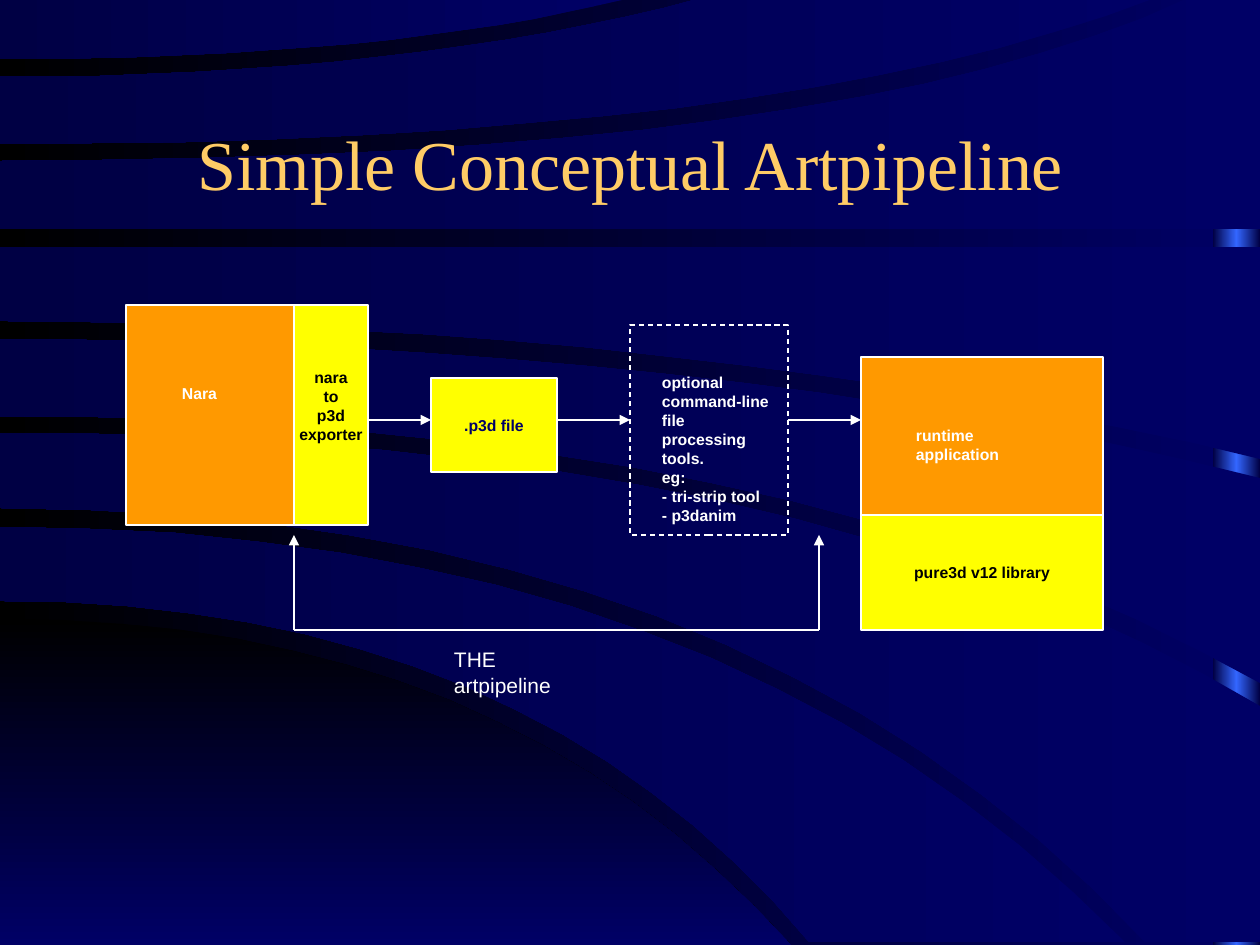
"""Build the Simple Conceptual Artpipeline slide."""
from copy import deepcopy

from lxml.etree import SubElement
from pptx import Presentation
from pptx.dml.color import RGBColor
from pptx.enum.dml import MSO_LINE
from pptx.enum.shapes import MSO_CONNECTOR, MSO_SHAPE
from pptx.enum.text import MSO_ANCHOR, PP_ALIGN
from pptx.oxml.ns import qn
from pptx.util import Emu, Pt

SCALE = 914400 / 126
MIDDLE = 472
STEPS = 16
NAVY = RGBColor(0x00, 0x00, 0x66)
DEEP_NAVY = RGBColor(0x00, 0x00, 0x44)
BLUE = RGBColor(0x33, 0x66, 0xFF)
BLACK = RGBColor(0x00, 0x00, 0x00)
WHITE = RGBColor(0xFF, 0xFF, 0xFF)
GOLD = RGBColor(0xFF, 0xCC, 0x66)
ORANGE = RGBColor(0xFF, 0x99, 0x00)
YELLOW = RGBColor(0xFF, 0xFF, 0x00)


def px(*lengths):
    return [Emu(round(length * SCALE)) for length in lengths]


def write(box, text, size=9, color=WHITE, bold=True, font="Arial",
          align=PP_ALIGN.LEFT, anchor=MSO_ANCHOR.TOP, wrap=False, bottom=6):
    frame = box.text_frame
    frame.word_wrap = wrap
    frame.vertical_anchor = anchor
    frame.margin_left, frame.margin_right = px(13, 13)
    frame.margin_top, frame.margin_bottom = px(6, bottom)
    for index, line in enumerate(text.split("\n")):
        para = frame.add_paragraph() if index else frame.paragraphs[0]
        para.alignment = align
        span = para.add_run()
        span.text = line
        span.font.name = font
        span.font.size = Pt(size)
        span.font.bold = bold
        span.font.color.rgb = color


deck = Presentation()
deck.slide_width, deck.slide_height = px(1260, 945)
page = deck.slides.add_slide(deck.slide_layouts[6])

strip = page.shapes.add_shape(MSO_SHAPE.RECTANGLE, *px(1213, 0, 47, 945))
strip.shadow.inherit = False
strip.line.fill.background()
strip.fill.gradient()
stop_list = strip._element.spPr.find(".//" + qn("a:gsLst"))
stop_list.append(deepcopy(stop_list[-1]))
gradients = [(page.background.fill, (NAVY, BLACK), 180),
             (strip.fill, (DEEP_NAVY, BLUE, DEEP_NAVY), 180)]

dome = ((619, 502, 791, 945), (945, 396, 791, 945))
bands = [
    ((527, 721, 1125, 942), (601, 525, 809, 942)),
    ((433, 808, 1260, 706), (508, 741, 1145, 942)),
    ((339, 702, 1260, 478), (416, 794, 1260, 683)),
    ((247, 630, 1260, 247), (321, 696, 1260, 459)),
    ((161, 844, 1188, -2), (229, 630, 1260, 229)),
    ((77, 405, 701, -2), (144, 776, 1155, -2)),
    ((-2, 316, 631, -2), (59, 384, 631, -2)),
]
for sweep in [dome, *bands]:
    upper, lower = [
        [(round(2 * t * (1 - t) * bend + t * t * end_x),
          round(start_y + (end_y - start_y) * t * t))
         for t in (step / STEPS for step in range(STEPS + 1))]
        for start_y, bend, end_x, end_y in sweep
    ]
    corner = (max(edge[2] for edge in sweep),
              max((edge[3] for edge in sweep), key=lambda y: abs(y - MIDDLE)))
    builder = page.shapes.build_freeform(*upper[0], scale=SCALE)
    builder.add_line_segments([*upper[1:], corner, *reversed(lower)], close=True)
    curve = builder.convert_to_shape()
    curve.shadow.inherit = False
    curve.line.fill.background()
    if sweep is dome:
        gradients.append((curve.fill, (BLACK, NAVY), 270))
    else:
        gradients.append((curve.fill, (NAVY, DEEP_NAVY), 180))

for fill, colors, angle in gradients:
    fill.gradient()
    fill.gradient_angle = angle
    for index, (stop, color) in enumerate(zip(fill.gradient_stops, colors)):
        stop.position = index / (len(colors) - 1)
        stop.color.rgb = color

title = page.shapes.add_textbox(*px(95, 84, 1071, 158))
write(title, "Simple Conceptual Artpipeline", size=40, color=GOLD, bold=False,
      font="Times New Roman", align=PP_ALIGN.CENTER, anchor=MSO_ANCHOR.MIDDLE,
      wrap=True)

stages = [
    ((126, 305, 168, 220), ORANGE, "", BLACK, 6),
    ((294, 305, 74, 220), YELLOW, "nara\nto\np3d\nexporter", BLACK, 24),
    ((431, 378, 126, 94), YELLOW, ".p3d file", NAVY, 6),
    ((630, 325, 158, 210), None, "", WHITE, 6),
    ((861, 357, 242, 158), ORANGE, "", BLACK, 6),
    ((861, 515, 242, 115), YELLOW, "pure3d v12 library", BLACK, 6),
]
for bounds, color, text, text_color, bottom in stages:
    box = page.shapes.add_shape(MSO_SHAPE.RECTANGLE, *px(*bounds))
    box.shadow.inherit = False
    box.line.color.rgb = WHITE
    box.line.width = Pt(0.75)
    if color:
        box.fill.solid()
        box.fill.fore_color.rgb = color
    else:
        box.fill.background()
        box.line.dash_style = MSO_LINE.DASH
    if text:
        write(box, text, color=text_color, align=PP_ALIGN.CENTER,
              anchor=MSO_ANCHOR.MIDDLE, bottom=bottom)

labels = [
    ((441, 641, 170, 38), "THE artpipeline", 12, False),
    ((169, 378, 64, 60), "Nara", 9, True),
    ((903, 420, 170, 32), "runtime application", 9, True),
    ((649, 367, 136, 146), "optional\ncommand-line\nfile processing\ntools.\neg:\n"
     "- tri-strip tool\n- p3danim", 9, True),
]
for bounds, text, size, bold in labels:
    write(page.shapes.add_textbox(*px(*bounds)), text, size=size, bold=bold)

links = [
    ((294, 630, 294, 535), True),
    ((819, 630, 819, 535), True),
    ((294, 630, 819, 630), False),
    ((368, 420, 431, 420), True),
    ((557, 420, 630, 420), True),
    ((788, 420, 861, 420), True),
]
for ends, has_arrow in links:
    link = page.shapes.add_connector(MSO_CONNECTOR.STRAIGHT, *px(*ends))
    link.line.color.rgb = WHITE
    link.line.width = Pt(0.75)
    if has_arrow:
        outline = link._element.spPr.find(qn("a:ln"))
        SubElement(outline, qn("a:tailEnd"), type="triangle")
    SubElement(link._element.spPr, qn("a:effectLst"))

deck.save("out.pptx")
